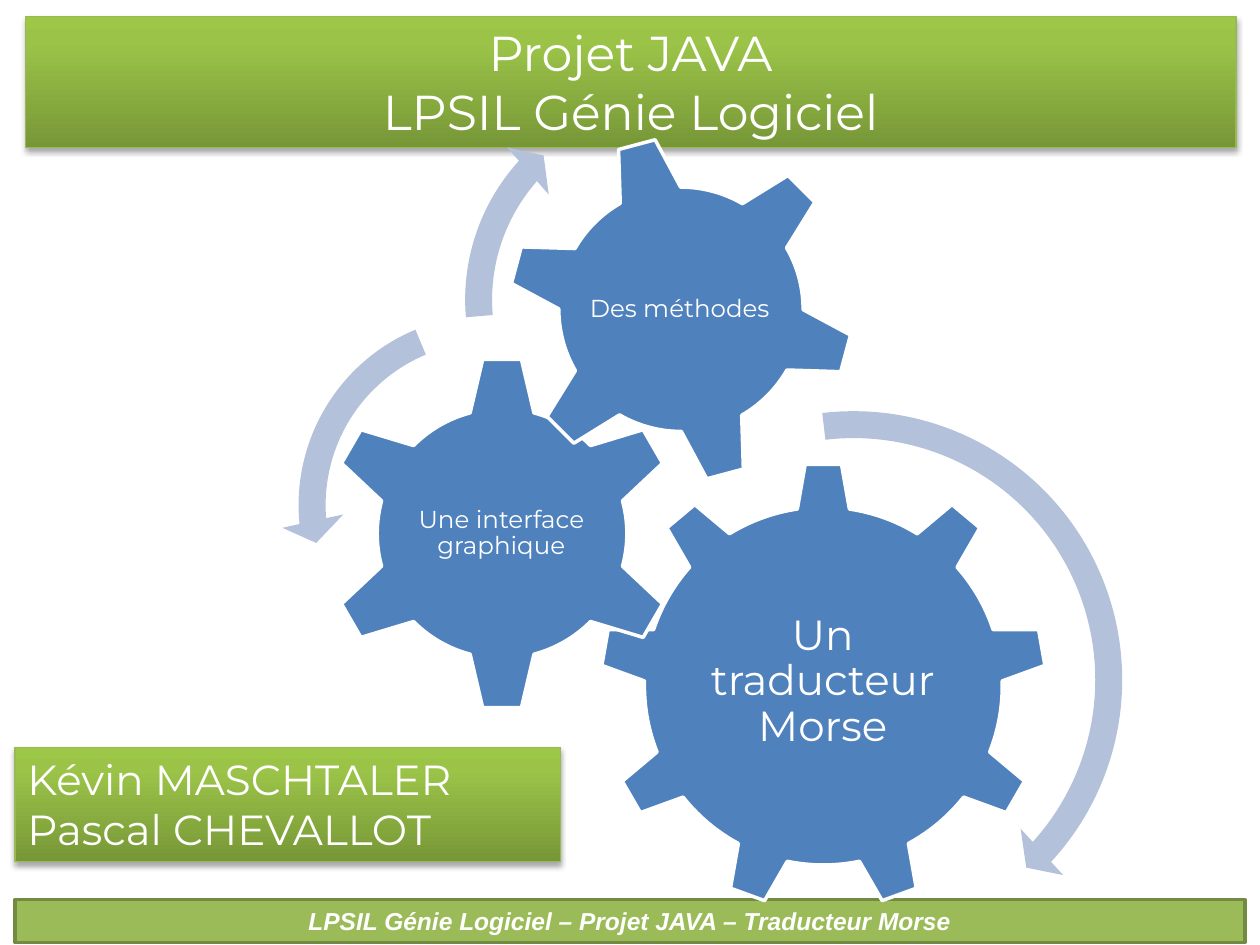
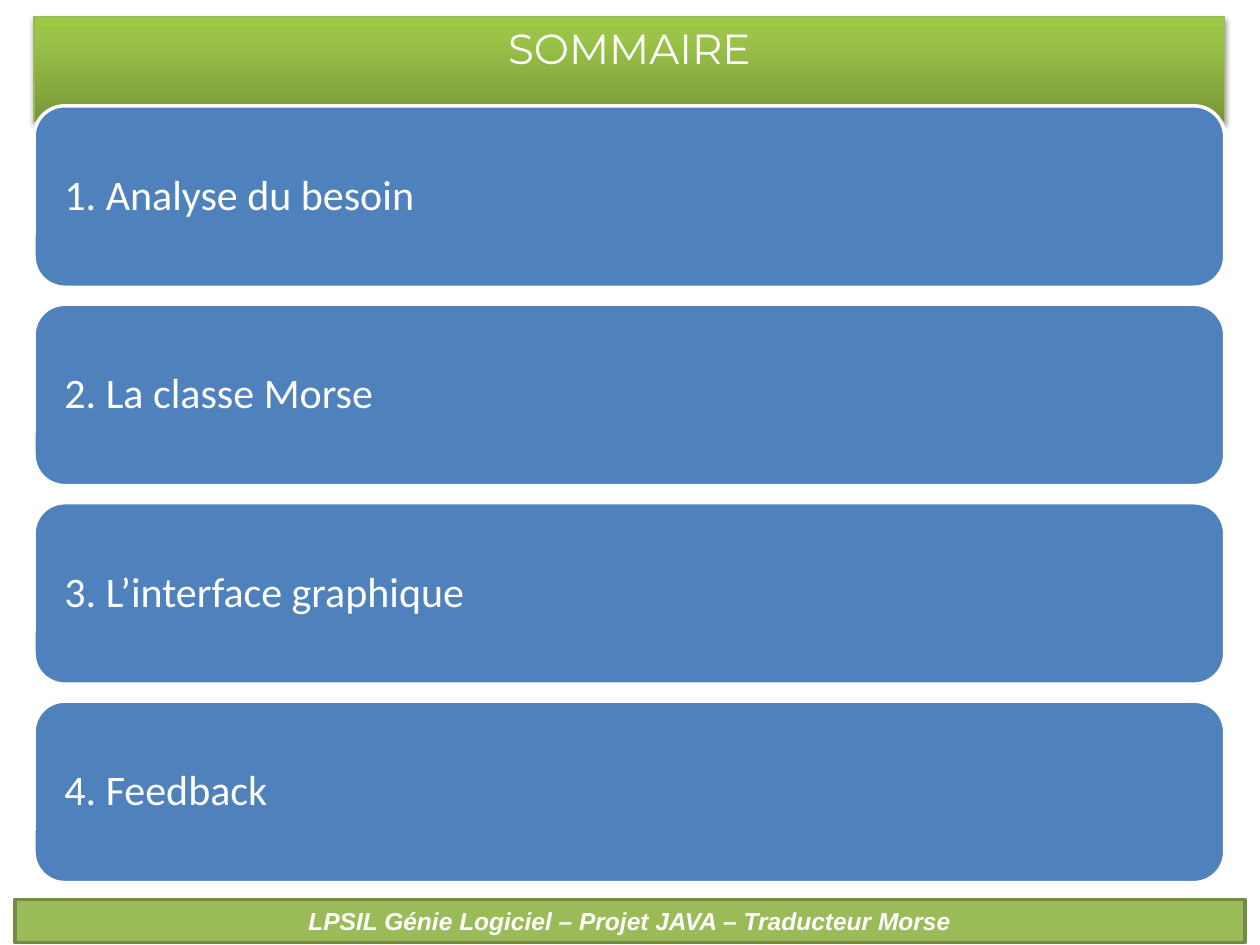
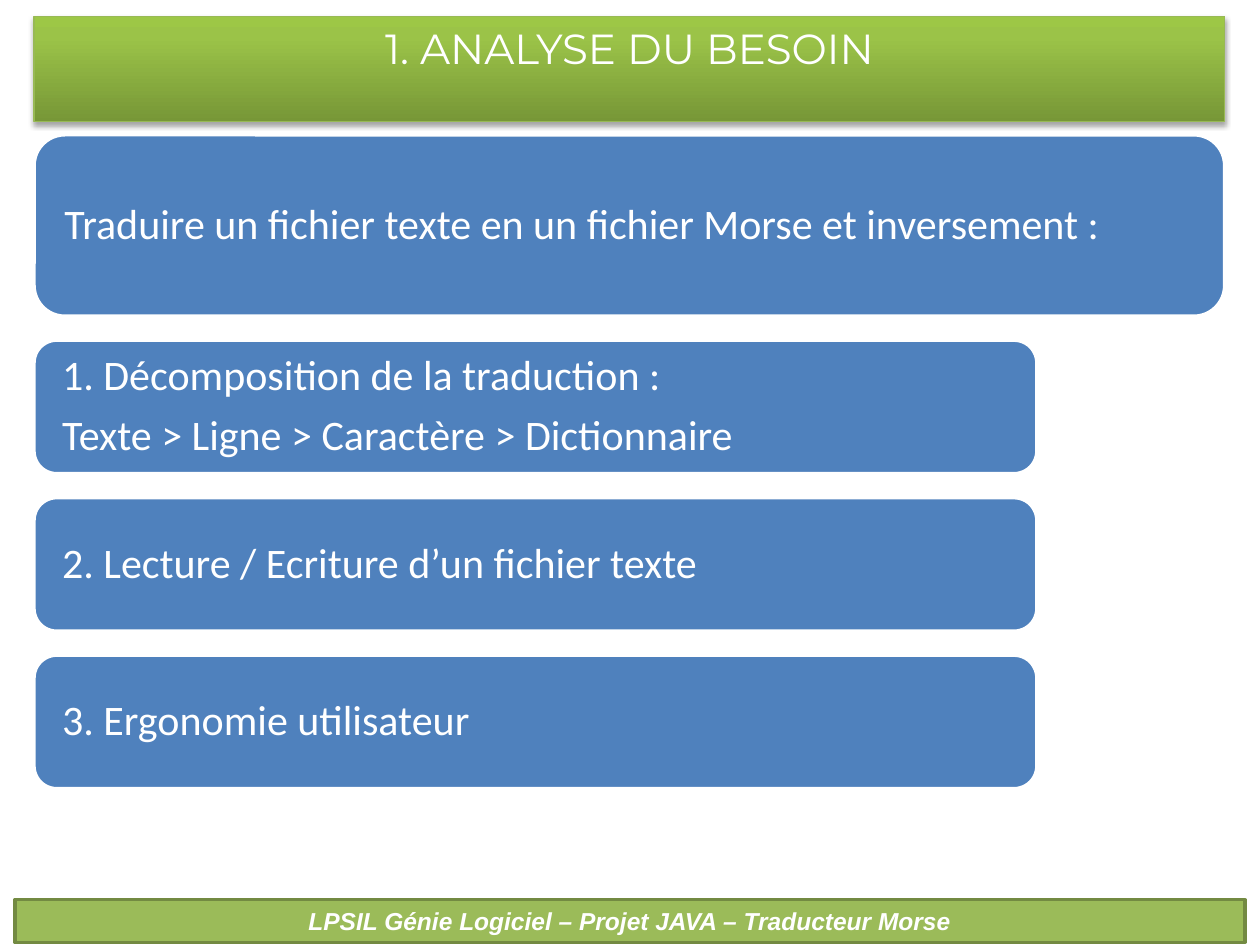
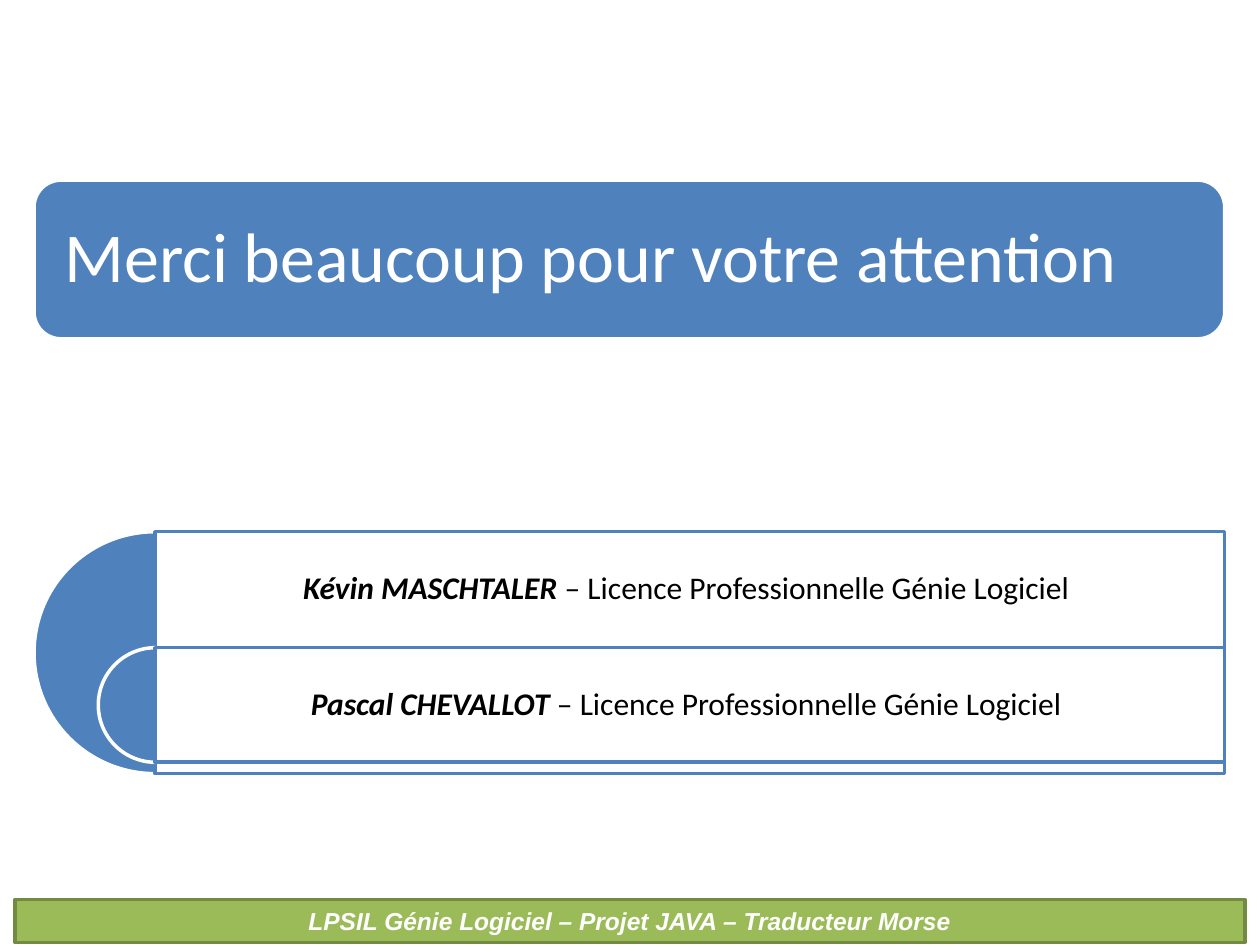
from dataclasses import dataclass

from lxml.etree import SubElement
from pptx import Presentation
from pptx.dml.color import RGBColor
from pptx.enum.shapes import MSO_SHAPE
from pptx.enum.text import MSO_ANCHOR, MSO_AUTO_SIZE, PP_ALIGN
from pptx.oxml import parse_xml
from pptx.oxml.ns import nsdecls, qn
from pptx.util import Inches, Pt


@dataclass(frozen=True)
class Theme:
    white: str = "FFFFFF"
    black: str = "000000"
    blue: str = "4F81BD"
    pale_blue: str = "B3C1DB"
    green: str = "9BBB59"
    dark_green: str = "738A42"
    banner_line: str = "98B955"
    banner_stops: tuple = ((0, "779737"), (80, "9BC348"), (100, "9DC746"))
    display: str = "Montserrat"
    body: str = "Calibri"
    footer: str = "Arial"
    small: int = 14
    medium: int = 18
    large: int = 24
    cover: int = 28
    thanks: int = 40


T = Theme()
TITLE_ONLY, BLANK = 5, 6


def rgb(value):
    return RGBColor.from_string(value)


def place(sp, box):
    sp.left, sp.top, sp.width, sp.height = map(Inches, box)


def style_font(font, name, size, color, bold=False, italic=False):
    font.name = name
    font.size = Pt(size)
    font.color.rgb = rgb(color)
    font.bold = bold
    font.italic = italic


def set_text(sp, text, name, size, color=T.white, align=PP_ALIGN.CENTER,
             anchor=MSO_ANCHOR.MIDDLE, inset=None, tight=False):
    tf = sp.text_frame
    tf.text = text
    tf.word_wrap = True
    tf.vertical_anchor = anchor
    if inset is not None:
        tf.margin_left = tf.margin_right = Inches(inset)
        tf.margin_top = tf.margin_bottom = Inches(inset)
    for p in tf.paragraphs:
        p.alignment = align
        if tight:
            p.line_spacing = 0.9
            p.space_after = Pt(0.35 * size)
        for r in p.runs:
            style_font(r.font, name, size, color)
    return tf


def add_shape(s, kind, box, fill, line=None, adjustments=(), rotation=0):
    sp = s.shapes.add_shape(kind, *map(Inches, box))
    sp.shadow.inherit = False
    sp.fill.solid()
    sp.fill.fore_color.rgb = rgb(fill)
    if line:
        sp.line.color.rgb = rgb(line)
        sp.line.width = Pt(2)
    else:
        sp.line.fill.background()
    for i, value in enumerate(adjustments):
        sp.adjustments[i] = value
    sp.rotation = rotation
    return sp


def add_label(s, box, text, name, size, color=T.white, inset=0.02):
    sp = s.shapes.add_textbox(*map(Inches, box))
    return set_text(sp, text, name, size, color, inset=inset, tight=True)


def style_banner(sp, text, size, align=PP_ALIGN.CENTER):
    stops = "".join(
        f'<a:gs pos="{pos * 1000}"><a:srgbClr val="{color}"/></a:gs>'
        for pos, color in T.banner_stops)
    props = sp.element.spPr
    props.append(parse_xml(
        f'<a:gradFill {nsdecls("a")} rotWithShape="1"><a:gsLst>{stops}</a:gsLst>'
        '<a:lin ang="16200000" scaled="0"/></a:gradFill>'))
    sp.line.color.rgb = rgb(T.banner_line)
    sp.line.width = Pt(0.75)
    props.append(parse_xml(
        f'<a:effectLst {nsdecls("a")}><a:outerShdw blurRad="40000" dist="23000" '
        f'dir="5400000" rotWithShape="0"><a:srgbClr val="{T.black}">'
        '<a:alpha val="35000"/></a:srgbClr></a:outerShdw></a:effectLst>'))
    tf = set_text(sp, text, T.display, size, align=align, anchor=MSO_ANCHOR.TOP)
    tf.auto_size = MSO_AUTO_SIZE.SHAPE_TO_FIT_TEXT


def add_title(s, text, box=(0.27, 0.13, 9.45, 0.5), size=T.large):
    place(s.shapes.title, box)
    style_banner(s.shapes.title, text, size)


def add_card(s, box, text, size=T.large, inset=0.17):
    sp = add_shape(s, MSO_SHAPE.ROUNDED_RECTANGLE, box, T.blue, T.white, (0.17,))
    set_text(sp, text, T.body, size, align=PP_ALIGN.LEFT, inset=inset, tight=True)


def add_master_footer(prs, s):
    sp = add_shape(s, MSO_SHAPE.RECTANGLE, (0.12, 7.14, 9.76, 0.34),
                   T.green, T.dark_green)
    tf = set_text(sp, "LPSIL Génie Logiciel – Projet JAVA – Traducteur Morse",
                  T.footer, T.small, anchor=MSO_ANCHOR.TOP)
    tf.auto_size = MSO_AUTO_SIZE.SHAPE_TO_FIT_TEXT
    font = tf.paragraphs[0].runs[0].font
    font.bold = font.italic = True
    sp.element.nvSpPr.cNvPr.set("id", "20")
    prs.slide_master.shapes.element.append(sp.element)


def add_gear(s, kind, box, label_box, text, size, rotation=0):
    add_shape(s, kind, box, T.blue, T.white, rotation=rotation)
    add_label(s, label_box, text, T.display, size)


def add_member(s, pie_box, frame_box, name):
    add_shape(s, MSO_SHAPE.PIE, pie_box, T.blue, T.white, (54, 162))
    frame = add_shape(s, MSO_SHAPE.RECTANGLE, frame_box, T.white, T.blue)
    color = frame.element.spPr.find(qn("a:solidFill"))[0]
    SubElement(color, qn("a:alpha")).set("val", "90000")
    left, top, width, _ = frame_box
    tf = add_label(s, (left, top, width, 0.91), name + " ", T.body, T.medium,
                   T.black, inset=0.07)
    p = tf.paragraphs[0]
    p.runs[0].font.bold = p.runs[0].font.italic = True
    r = p.add_run()
    r.text = "– Licence Professionnelle Génie Logiciel "
    style_font(r.font, T.body, T.medium, T.black)


def build_cover(prs, s):
    add_master_footer(prs, s)
    add_title(s, "Projet JAVA\nLPSIL Génie Logiciel", (0.2, 0.13, 9.61, 1.04), T.cover)
    add_gear(s, MSO_SHAPE.GEAR_9, (4.76, 3.67, 3.55, 3.55), (5.47, 4.5, 2.12, 1.83),
             "Un traducteur Morse", T.large)
    add_gear(s, MSO_SHAPE.GEAR_6, (2.57, 2.82, 2.83, 2.83), (3.28, 3.54, 1.4, 1.39),
             "Une interface graphique", T.small)
    add_gear(s, MSO_SHAPE.GEAR_6, (4.02, 1.07, 2.77, 2.77), (4.62, 1.68, 1.55, 1.55),
             "Des méthodes", T.small, rotation=345)
    arrows = (
        (MSO_SHAPE.CIRCULAR_ARROW, (4.5, 3.12, 4.55, 4.55),
         (0.047, 2.99, 25.46, 157.98, 0.055)),
        (MSO_SHAPE.LEFT_CIRCULAR_ARROW, (2.23, 2.36, 3.3, 3.3),
         (0.065, 4.3, 104.89, 148.38, 0.075)),
        (MSO_SHAPE.CIRCULAR_ARROW, (3.55, 0.6, 3.56, 3.56),
         (0.06, 3.94, 133.14, 105.08, 0.07)),
    )
    for kind, box, adjustments in arrows:
        add_shape(s, kind, box, T.pale_blue, adjustments=adjustments)
    authors = s.shapes.add_textbox(*map(Inches, (0.12, 5.93, 4.33, 0.91)))
    authors.element.spPr.remove(authors.element.spPr.find(qn("a:noFill")))
    style_banner(authors, "Kévin MASCHTALER\nPascal CHEVALLOT", T.large, PP_ALIGN.LEFT)


def build_summary(s):
    add_title(s, "SOMMAIRE")
    topics = ("Analyse du besoin", "La classe Morse", "L’interface graphique", "Feedback")
    for i, topic in enumerate(topics):
        add_card(s, (0.27, 0.84 + 1.575 * i, 9.45, 1.44), f"{i + 1}. {topic}")


def build_analysis(s):
    add_title(s, "1. ANALYSE DU BESOIN")
    add_card(s, (0.27, 1.07, 9.45, 1.44),
             "Traduire un fichier texte en un fichier Morse et inversement :")
    needs = (
        "Décomposition de la traduction :\nTexte > Ligne > Caractère > Dictionnaire",
        "Lecture / Ecriture d’un fichier texte",
        "Ergonomie utilisateur",
    )
    for i, need in enumerate(needs):
        add_card(s, (0.27, 2.7 + 1.25 * i, 7.96, 1.06), f"{i + 1}. {need}")


def build_thanks(s):
    add_card(s, (0.27, 1.43, 9.45, 1.26), "Merci beaucoup pour votre attention",
             T.thanks, inset=0.18)
    add_member(s, (0.27, 4.22, 1.92, 1.92), (1.23, 4.22, 8.49, 1.92), "Kévin MASCHTALER")
    add_member(s, (0.78, 5.14, 0.91, 0.91), (1.23, 5.14, 8.49, 0.91), "Pascal CHEVALLOT")


def main():
    prs = Presentation()
    prs.slide_width, prs.slide_height = Inches(10), Inches(7.5)
    layouts = prs.slide_layouts
    build_cover(prs, prs.slides.add_slide(layouts[TITLE_ONLY]))
    build_summary(prs.slides.add_slide(layouts[TITLE_ONLY]))
    build_analysis(prs.slides.add_slide(layouts[TITLE_ONLY]))
    build_thanks(prs.slides.add_slide(layouts[BLANK]))
    prs.save("out.pptx")


main()
